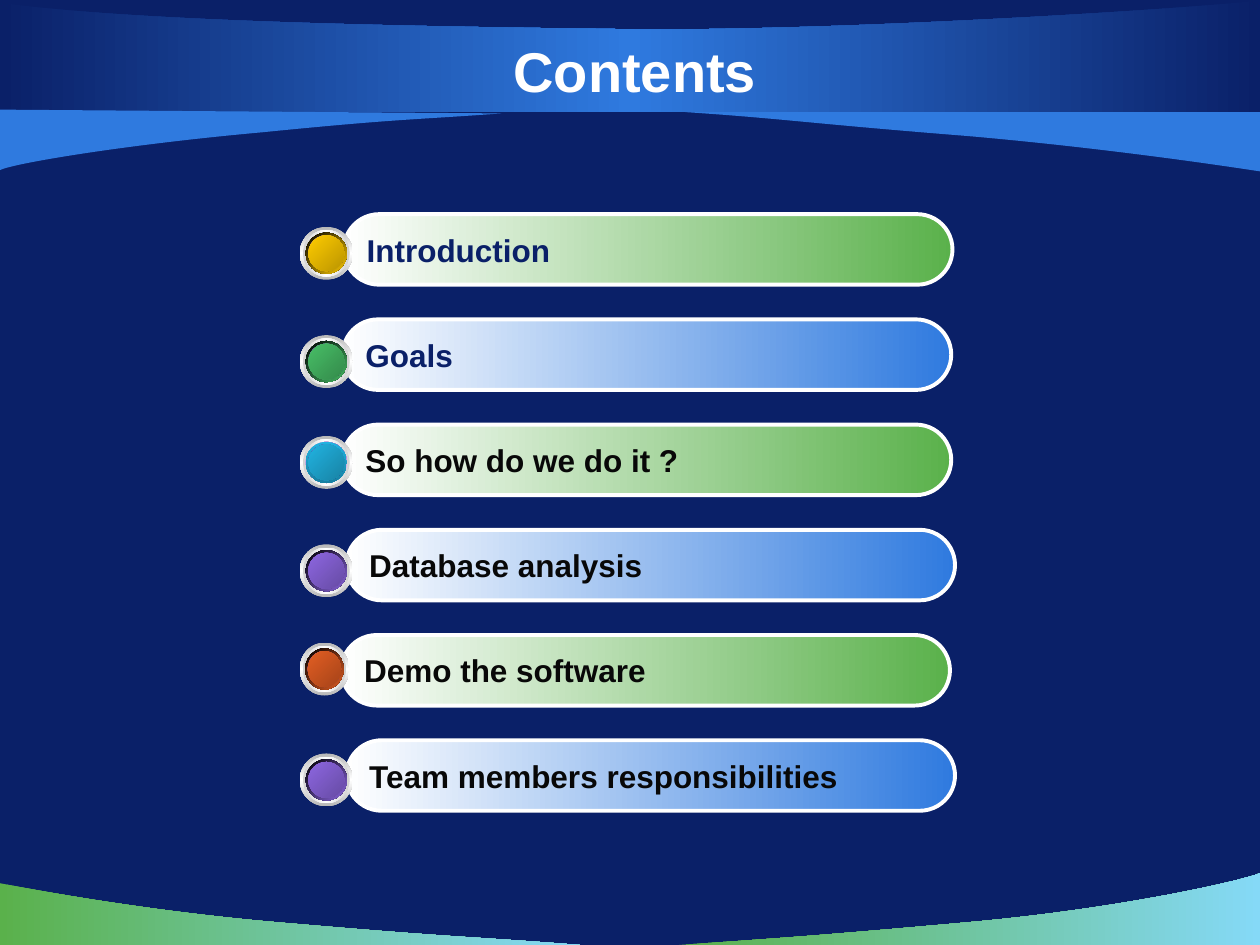
from copy import deepcopy

from lxml import etree
from pptx import Presentation
from pptx.dml.color import RGBColor
from pptx.enum.shapes import MSO_SHAPE
from pptx.enum.text import MSO_ANCHOR, PP_ALIGN
from pptx.oxml.ns import qn
from pptx.util import Inches, Pt

PILL, OVAL = MSO_SHAPE.ROUNDED_RECTANGLE, MSO_SHAPE.OVAL
MIDDLE, LEFT, CENTER = MSO_ANCHOR.MIDDLE, PP_ALIGN.LEFT, PP_ALIGN.CENTER
TITLE_ONLY = 5
FONT = "Arial"
WIDTH, HEIGHT = 10, 7.5

NAVY = RGBColor(0x0A, 0x20, 0x68)
BLUE = RGBColor(0x2F, 0x7A, 0xDF)
GREEN = RGBColor(0x5A, 0xB1, 0x4B)
SKY = RGBColor(0x85, 0xD9, 0xF7)
WHITE = RGBColor(0xFF, 0xFF, 0xFF)
BLACK = RGBColor(0, 0, 0)
INK = RGBColor(0x08, 0x08, 0x08)
PURPLE = RGBColor(0x8A, 0x52, 0xC8)
PLUM = RGBColor(0x6A, 0x3F, 0x99)
GOLD = RGBColor(0xFF, 0xCC, 0x00)
JADE = RGBColor(0x48, 0xBE, 0x67)
CYAN = RGBColor(0x21, 0xB3, 0xE1)
VIOLET = RGBColor(0x8D, 0x67, 0xE1)
RUST = RGBColor(0xE3, 0x5E, 0x23)

LIST_TOP, ROW_STEP, BAR_W, BAR_H = 1.7, 0.835, 4.83, 0.56
DOT_LEFT, DOT_SIZE = 2.38, 0.42

WAVES = [
    ([(4.6, 7.5), [(3.84, 7.44), (3.58, 7.44), (2.32, 7.33)],
      [(1.06, 7.23), (0.01, 7.01), (0, 7.01)], (0, 7.5)], [GREEN, SKY]),
    ([(5.39, 7.5), [(6.14, 7.45), (6.46, 7.43), (7.69, 7.32)],
      [(8.92, 7.21), (9.9, 6.98), (10, 6.93)], (10, 7.5)], [GREEN, SKY]),
    ([(5.44, 0.89), [(6.2, 0.94), (6.42, 0.98), (7.68, 1.08)],
      [(8.94, 1.19), (9.99, 1.36), (10, 1.36)], (10, 0.88)], [BLUE]),
    ([(0, 0.89), (10, 0.89), (10, 0), [(9.64, 0.06), (6.53, 0.26), (4.87, 0.23)],
      [(3.21, 0.21), (1.01, 0.17), (0, 0.02)]], [NAVY, BLUE, NAVY]),
    ([(3.98, 0.9), [(3.31, 0.95), (3.18, 0.94), (2.08, 1.05)],
      [(0.97, 1.15), (0.09, 1.3), (0, 1.35)], (0, 0.87)], [BLUE]),
]

ITEMS = [
    ("Introduction", NAVY, 2.73, 1.8, DOT_SIZE, GOLD),
    ("Goals", NAVY, 2.72, 2.66, DOT_SIZE, JADE),
    ("So how do we do it ?", INK, 2.72, 3.46, DOT_SIZE, CYAN),
    ("Database analysis", INK, 2.75, 4.32, DOT_SIZE, VIOLET),
    ("Demo the software", INK, 2.71, 5.1, 0.39, RUST),
    ("Team members responsibilities", INK, 2.75, 5.98, DOT_SIZE, VIOLET),
]


def paint(sp, colors, angle=0, shades=()):
    """Fill with one colour or even gradient stops, shaded by percent."""
    sp.shadow.inherit = False
    sp.line.fill.background()
    if len(colors) == 1:
        sp.fill.solid()
        sp.fill.fore_color.rgb = colors[0]
        return
    sp.fill.gradient()
    sp.fill.gradient_angle = (360 - angle) % 360
    stops = sp._element.spPr.find(qn("a:gradFill")).find(qn("a:gsLst"))
    while len(stops) < len(colors):
        stops.append(deepcopy(stops[0]))
    for i, (stop, color) in enumerate(zip(sp.fill.gradient_stops, colors)):
        stop.color.rgb = color
        stop.position = i / (len(colors) - 1)
    for gs, shade in zip(stops, shades):
        if shade < 100:
            etree.SubElement(gs[0], qn("a:shade")).set("val", str(shade * 1000))


def write(tf, text, size, color, align):
    """Put one bold run in a text frame."""
    tf.vertical_anchor = MIDDLE
    p = tf.paragraphs[0]
    p.alignment = align
    r = p.add_run()
    r.text = text
    r.font.name, r.font.size, r.font.bold = FONT, Pt(size), True
    r.font.color.rgb = color


def bend(sp, outline):
    """Turn the sides listed as point triples into cubic curves."""
    segments = iter(list(sp._element.iter(qn("a:lnTo"))))
    for part in outline[1:]:
        sides = [next(segments) for _ in range(3 if isinstance(part, list) else 1)]
        if len(sides) == 3:
            curve = etree.Element(qn("a:cubicBezTo"))
            sides[0].addprevious(curve)
            for side in sides:
                curve.append(side[0])
                side.getparent().remove(side)


def add_wave(s, outline, colors):
    """Draw a closed outline of straight and curved sides."""
    points = []
    for part in outline:
        points += part if isinstance(part, list) else [part]
    start, *rest = [(Inches(x), Inches(y)) for x, y in points]
    fb = s.shapes.build_freeform(*start)
    fb.add_line_segments(rest, close=True)
    sp = fb.convert_to_shape()
    bend(sp, outline)
    paint(sp, colors)


def add_title(s, text, x, y, w, h):
    """Place the title in front of the waves."""
    sp = s.shapes.title
    sp.left, sp.top, sp.width, sp.height = (Inches(v) for v in (x, y, w, h))
    write(sp.text_frame, text, 32, WHITE, CENTER)
    sp._element.getparent().append(sp._element)


def add_bar(s, text, ink, color, x, y, w, h):
    """Draw a labelled pill fading from white."""
    sp = s.shapes.add_shape(PILL, *(Inches(v) for v in (x, y, w, h)))
    sp.adjustments[0] = 0.5
    paint(sp, [WHITE, color])
    sp.line.color.rgb = WHITE
    sp.line.width = Pt(2.25)
    sp.text_frame.word_wrap = False
    write(sp.text_frame, text, 18, ink, LEFT)


def add_dot(s, color, x, y, w, h):
    """Stack shaded ovals into a framed button."""
    rim = ([CYAN, CYAN], 90, (100, 47)) if color == CYAN else ([BLACK, color], 45, ())
    layers = [
        (0, [WHITE] * 3, 90, (47, 100, 47)),
        (0.06, [WHITE] * 3, 0, (64, 100, 64)),
        (0.11, [WHITE, PURPLE, WHITE], 45, ()),
        (0.11, *rim),
        (0.16, [PLUM, PURPLE, PLUM], 315, ()),
        (0.16, [color, color], 45, (100, 49)),
    ]
    group = s.shapes.add_group_shape()
    for inset, colors, angle, shades in layers:
        size = 1 - 2 * inset
        box = (x + inset * w, y + inset * h, size * w, size * h)
        sp = group.shapes.add_shape(OVAL, *(Inches(v) for v in box))
        paint(sp, colors, angle, shades)


def build_contents(prs):
    """Build the contents slide."""
    s = prs.slides.add_slide(prs.slide_layouts[TITLE_ONLY])
    s.background.fill.solid()
    s.background.fill.fore_color.rgb = NAVY
    for outline, colors in WAVES:
        add_wave(s, outline, colors)
    add_title(s, "Contents", 0.5, 0.25, 9.08, 0.62)
    for i, (text, ink, x, dot_top, dot_w, color) in enumerate(ITEMS):
        add_bar(s, text, ink, (GREEN, BLUE)[i % 2], x, LIST_TOP + i * ROW_STEP, BAR_W, BAR_H)
        add_dot(s, color, DOT_LEFT, dot_top, dot_w, DOT_SIZE)


def main():
    """Create and save the presentation."""
    prs = Presentation()
    prs.slide_width, prs.slide_height = Inches(WIDTH), Inches(HEIGHT)
    build_contents(prs)
    prs.save("out.pptx")


if __name__ == "__main__":
    main()
